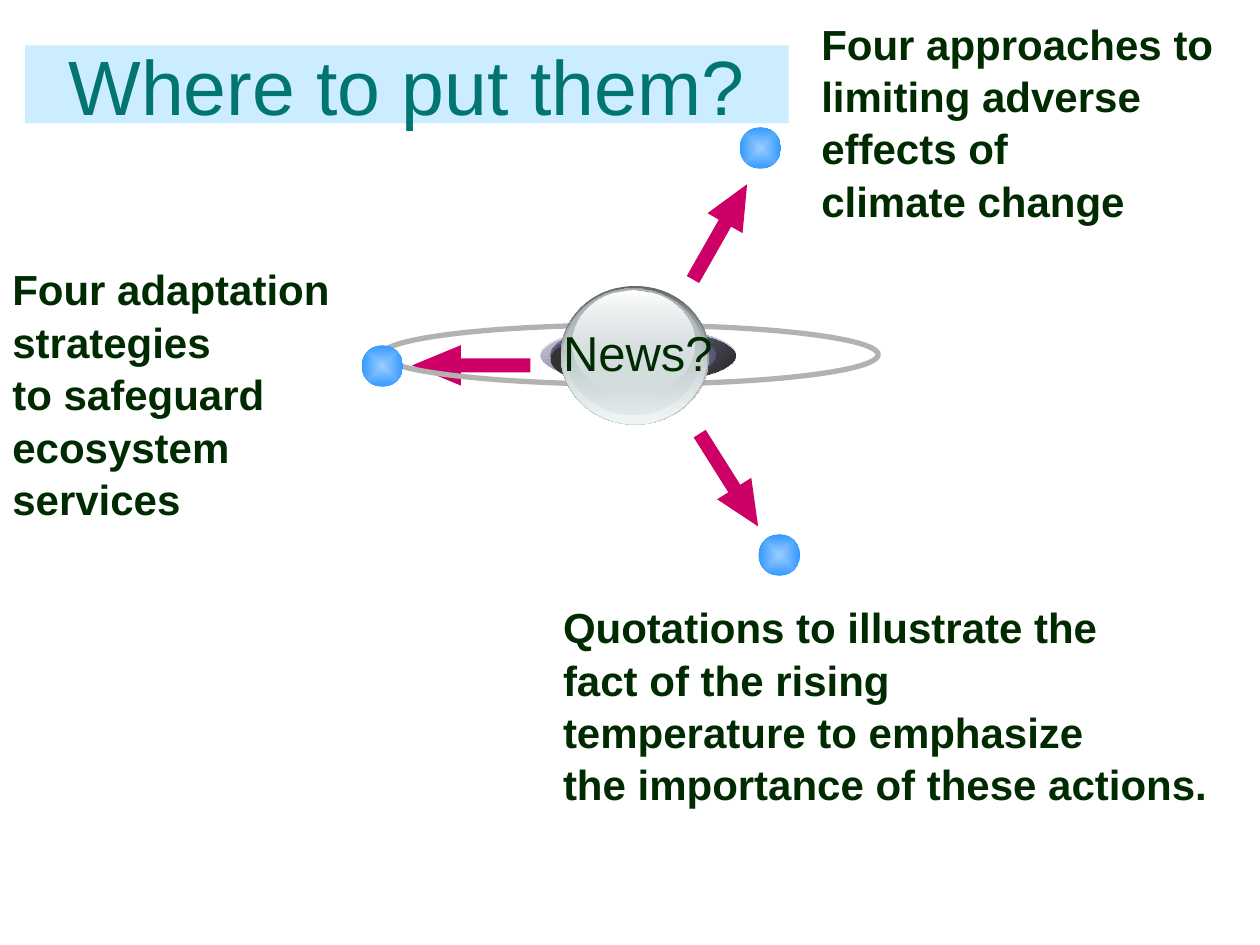
import pptx
import pptx.dml.color
import pptx.enum.shapes
import pptx.enum.text
import pptx.oxml
import pptx.oxml.ns
import pptx.util

SHAPES = pptx.enum.shapes.MSO_SHAPE
COLORS = {"band": "CCECFF", "title": "007572", "text": "002A00",
          "arrow": "CC0066", "orbit": "B2B2B2", "shade": "333333"}
FONT = "Arial"
TITLE = "Where to put them?"
HUB = "News?"
DOT_SIZE = 0.33
ARROW_THICKNESS = 0.32
SHAFT_SHARE = 0.352

# Boxes are left, top, width, height in inches; a dot is left, top.
BRANCHES = [
    {"lines": ["Four approaches to", "limiting adverse", "effects of", "climate change"],
     "box": (6.42, 0.08, 3.4, 2.1), "dot": (5.87, 1.01),
     "arrow": (5.28, 1.68, 0.87), "turn": 299.6, "head": 1.11},
    {"lines": ["Quotations to illustrate the", "fact of the rising",
               "temperature to emphasize", "the importance of these actions."],
     "box": (4.37, 4.71, 5.31, 2.18), "dot": (6.02, 4.24),
     "arrow": (5.35, 3.65, 0.87), "turn": 57.8, "head": 1.11},
    {"lines": ["Four adaptation", "strategies", "to safeguard", "ecosystem services"],
     "box": (0, 2.03, 3.34, 1.7), "dot": (2.87, 2.74),
     "arrow": (3.27, 2.74, 0.94), "turn": 180, "head": 1.21},
]

# Gradient stops are position, colour, opacity (all in percent but the colour).
DOT_STOPS = [(0, "9CCDFF", 100), (100, "3399FF", 100)]
COLLAR = [
    ((4.29, 2.6, 1.55, 0.43), 45,
     [(0, "FFFFFF", 100), (50, "7D7DA9", 100), (100, "FFFFFF", 100)]),
    ((4.29, 2.61, 1.55, 0.43), 45, [(0, "7D7DA9", 32), (100, "000000", 90)]),
    ((4.37, 2.6, 1.31, 0.43), 315,
     [(0, "44445B", 100), (50, "7D7DA9", 100), (100, "44445B", 100)]),
    ((4.37, 2.61, 1.31, 0.43), 45, [(0, "4F4F6B", 100), (100, "7D7DA9", 0)]),
]
COLLAR_SHADE = (4.37, 2.64, 1.22, 0.43)
BALL = [
    ((4.45, 2.27, 1.18, 1.1), 90, [(0, "636869", 100), (100, "D6E1E2", 100)]),
    ((4.46, 2.28, 1.15, 1.08), 90, [(0, "D6E1E2", 0), (100, "F1F5F5", 100)]),
    ((4.48, 2.29, 1.09, 1.0), 90, [(0, "AAB2B3", 100), (100, "D6E1E2", 48)]),
    ((4.54, 2.31, 0.97, 0.82), 90, [(0, "FFFFFF", 100), (100, "D6E1E2", 38)]),
]


def rgb(name):
    return pptx.dml.color.RGBColor.from_string(COLORS[name])


def inches(box):
    return [pptx.util.Inches(length) for length in box]


def add_plain(shapes, preset, box, color=None):
    shape = shapes.add_shape(preset, *inches(box))
    shape.shadow.inherit = False
    shape.line.fill.background()
    if color:
        shape.fill.solid()
        shape.fill.fore_color.rgb = rgb(color)
    else:
        shape.fill.background()
    return shape


def add_gradient_ellipse(shapes, box, stops, angle=None):
    """Shade along the angle, or from the centre outwards when there is none."""
    ellipse = add_plain(shapes, SHAPES.OVAL, box)
    stop_xml = "".join(
        f'<a:gs pos="{position * 1000}"><a:srgbClr val="{color}">'
        f'<a:alpha val="{opacity * 1000}"/></a:srgbClr></a:gs>'
        for position, color, opacity in stops)
    if angle is None:
        direction = ('<a:path path="rect"><a:fillToRect l="50000" t="50000" '
                     'r="50000" b="50000"/></a:path>')
    else:
        direction = f'<a:lin ang="{angle * 60000}" scaled="1"/>'
    gradient = pptx.oxml.parse_xml(
        f'<a:gradFill {pptx.oxml.ns.nsdecls("a")} rotWithShape="1">'
        f'<a:gsLst>{stop_xml}</a:gsLst>{direction}</a:gradFill>')
    properties = ellipse.element.spPr
    properties.replace(properties.find(pptx.oxml.ns.qn("a:noFill")), gradient)


def add_text(shapes, box, lines, size, color="text", bold=False, wrap=True, spacing=None):
    label = shapes.add_textbox(*inches(box))
    frame = label.text_frame
    frame.word_wrap = wrap
    frame.text = "\n".join(lines)
    for paragraph in frame.paragraphs:
        paragraph.line_spacing = spacing
        paragraph.font.name = FONT
        paragraph.font.size = pptx.util.Pt(size)
        paragraph.font.bold = bold
        paragraph.font.color.rgb = rgb(color)
    return label


def main():
    deck = pptx.Presentation()
    deck.slide_width, deck.slide_height = inches((10, 7.5))
    shapes = deck.slides.add_slide(deck.slide_layouts[6]).shapes

    title = add_text(shapes, (0.2, 0.36, 6.06, 0.62), [TITLE], 44, "title")
    title.fill.solid()
    title.fill.fore_color.rgb = rgb("band")
    title.text_frame.vertical_anchor = pptx.enum.text.MSO_ANCHOR.MIDDLE
    title.text_frame.paragraphs[0].alignment = pptx.enum.text.PP_ALIGN.CENTER

    for branch in BRANCHES:
        arrow = add_plain(shapes, SHAPES.RIGHT_ARROW,
                          (*branch["arrow"], ARROW_THICKNESS), "arrow")
        arrow.rotation = branch["turn"]
        arrow.adjustments[0] = SHAFT_SHARE
        arrow.adjustments[1] = branch["head"]

    orbit = add_plain(shapes, SHAPES.OVAL, (3.03, 2.58, 3.94, 0.47))
    orbit.line.color.rgb = rgb("orbit")
    orbit.line.width = pptx.util.Pt(3)

    for branch in BRANCHES:
        add_text(shapes, branch["box"], branch["lines"], 24,
                 bold=True, wrap=False, spacing=1.04)
    for branch in BRANCHES:
        add_gradient_ellipse(shapes, (*branch["dot"], DOT_SIZE, DOT_SIZE), DOT_STOPS)

    for box, angle, stops in COLLAR:
        add_gradient_ellipse(shapes, box, stops, angle)
    add_plain(shapes, SHAPES.OVAL, COLLAR_SHADE, "shade")
    ball = shapes.add_group_shape()
    for box, angle, stops in BALL:
        add_gradient_ellipse(ball.shapes, box, stops, angle)
    add_text(shapes, (4.37, 2.51, 1.42, 0.57), [HUB], 28)

    deck.save("out.pptx")


if __name__ == "__main__":
    main()
